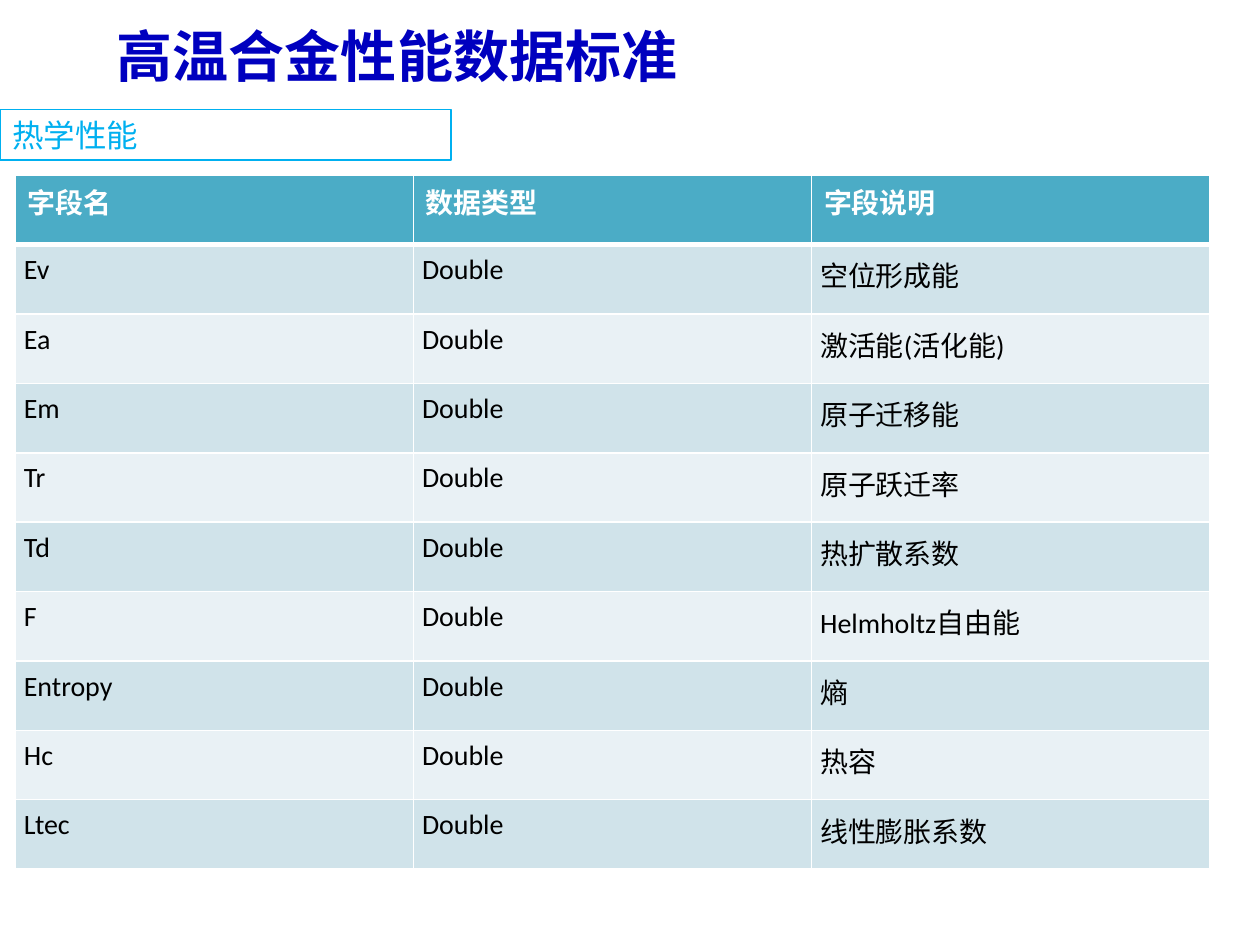
from typing import NamedTuple

from lxml.etree import SubElement
from pptx import Presentation
from pptx.dml.color import RGBColor
from pptx.enum.shapes import MSO_SHAPE
from pptx.enum.text import MSO_ANCHOR, PP_ALIGN
from pptx.oxml.ns import qn
from pptx.util import Inches, Pt

CHINESE_FONT = "Noto Sans CJK SC"
WHITE = "FFFFFF"
HEADER_FILL = "4BACC6"
BAND_FILLS = ("D0E3EA", "E9F1F5")


class Field(NamedTuple):
    name: str
    data_type: str
    description: str


class TextStyle(NamedTuple):
    size: float
    color: str
    bold: bool = False
    font: str = "Calibri"


TITLE_STYLE = TextStyle(32, "0000BF", True, CHINESE_FONT)
SECTION_STYLE = TextStyle(18, "00B0F0")
HEADER_STYLE = TextStyle(16, WHITE, True)
BODY_STYLE = TextStyle(16, "000000")

HEADER = Field("字段名", "数据类型", "字段说明")
FIELDS = [
    Field("Ev", "Double", "空位形成能"),
    Field("Ea", "Double", "激活能(活化能)"),
    Field("Em", "Double", "原子迁移能"),
    Field("Tr", "Double", "原子跃迁率"),
    Field("Td", "Double", "热扩散系数"),
    Field("F", "Double", "Helmholtz自由能"),
    Field("Entropy", "Double", "熵"),
    Field("Hc", "Double", "热容"),
    Field("Ltec", "Double", "线性膨胀系数"),
]


def rgb(color: str) -> RGBColor:
    return RGBColor.from_string(color)


def add_text(para, text: str, style: TextStyle) -> None:
    span = para.add_run()
    span.text = text
    span.font.size = Pt(style.size)
    span.font.bold = style.bold
    span.font.name = style.font
    span.font.color.rgb = rgb(style.color)
    east_asian = SubElement(span.font._element, qn("a:ea"))
    east_asian.set("typeface", CHINESE_FONT)


def add_title(page, text: str) -> None:
    box = page.shapes.add_textbox(Inches(0.83), 0, Inches(9), Inches(0.87))
    frame = box.text_frame
    frame.word_wrap = True
    frame.vertical_anchor = MSO_ANCHOR.MIDDLE
    add_text(frame.paragraphs[0], text, TITLE_STYLE)


def add_section_label(page, text: str) -> None:
    box = page.shapes.add_shape(
        MSO_SHAPE.RECTANGLE, 0, Inches(0.87), Inches(3.58), Inches(0.4))
    box.shadow.inherit = False
    box.fill.background()
    box.line.color.rgb = rgb(SECTION_STYLE.color)
    box.line.width = Pt(0.75)
    frame = box.text_frame
    frame.word_wrap = True
    frame.vertical_anchor = MSO_ANCHOR.TOP
    frame.paragraphs[0].alignment = PP_ALIGN.LEFT
    add_text(frame.paragraphs[0], text, SECTION_STYLE)


def set_borders(cell, top: float, bottom: float) -> None:
    """Draw white borders; widths are in points."""
    properties = cell._tc.get_or_add_tcPr()
    widths = {"a:lnL": 1, "a:lnR": 1, "a:lnT": top, "a:lnB": bottom}
    for tag, width in widths.items():
        line = SubElement(properties, qn(tag), w=str(Pt(width)))
        fill = SubElement(line, qn("a:solidFill"))
        SubElement(fill, qn("a:srgbClr"), val=WHITE)


def fill_cell(cell, text: str, row: int) -> None:
    is_header = row == 0
    set_borders(cell, top=3 if row == 1 else 1, bottom=3 if is_header else 1)
    cell.fill.solid()
    cell.fill.fore_color.rgb = rgb(
        HEADER_FILL if is_header else BAND_FILLS[(row - 1) % 2])
    para = cell.text_frame.paragraphs[0]
    if not is_header:
        cell.margin_left = cell.margin_right = Inches(0.07)
        cell.margin_top = cell.margin_bottom = 0
        para.alignment = PP_ALIGN.JUSTIFY
        para.line_spacing = 1.25
        para.space_before = para.space_after = Pt(3.1)
    add_text(para, text, HEADER_STYLE if is_header else BODY_STYLE)


def add_field_table(page, records: list[Field]) -> None:
    table = page.shapes.add_table(
        len(records), len(HEADER),
        Inches(0.12), Inches(1.39), Inches(9.48), Inches(5.51)).table
    for row, record in enumerate(records):
        for column, text in enumerate(record):
            fill_cell(table.cell(row, column), text, row)


def main() -> None:
    deck = Presentation()
    deck.slide_width, deck.slide_height = Inches(10), Inches(7.5)
    page = deck.slides.add_slide(deck.slide_layouts[6])
    add_title(page, "高温合金性能数据标准")
    add_section_label(page, "热学性能")
    add_field_table(page, [HEADER, *FIELDS])
    deck.save("out.pptx")


if __name__ == "__main__":
    main()
